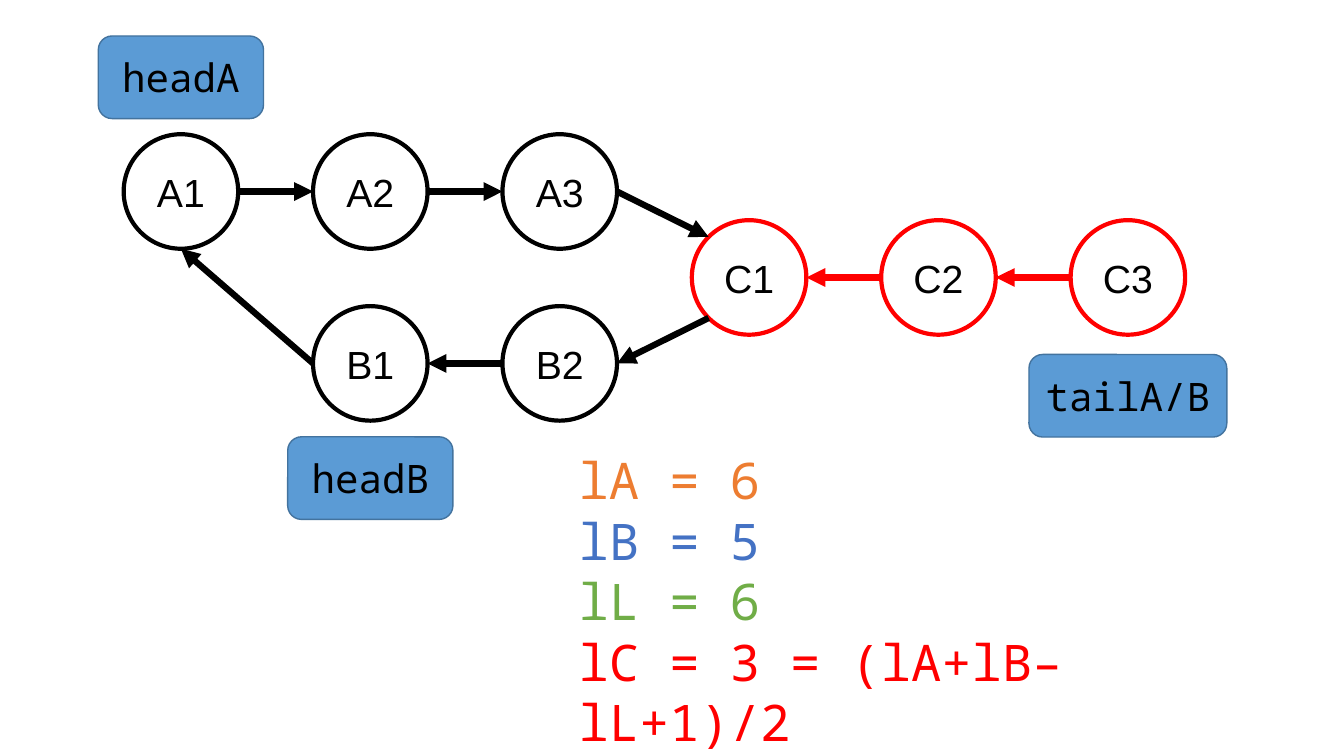
from dataclasses import dataclass
from math import sqrt

from lxml.etree import SubElement
from pptx import Presentation
from pptx.dml.color import RGBColor
from pptx.enum.shapes import MSO_CONNECTOR, MSO_SHAPE
from pptx.enum.text import MSO_ANCHOR, MSO_AUTO_SIZE, PP_ALIGN
from pptx.oxml.ns import qn
from pptx.util import Pt

HUES = {
    "black": "000000", "white": "FFFFFF", "red": "FF0000", "tag": "5B9BD5",
    "edge": "43739E", "orange": "ED7D31", "blue": "4472C4", "green": "70AD47",
}
SANS, MONO = "Arial", "Noto Sans Mono"
SIZE = 81.8                  # node diameter
LEFT, TOP = 129.25, 136.8    # centre of the first node
STEP, DROP = 135.28, 61.4    # column and row pitch
DIAG = sqrt(0.5)
PORTS = {
    "left": (-1, 0), "right": (1, 0), "bottom": (0, 1),
    "upleft": (-DIAG, -DIAG), "lowleft": (-DIAG, DIAG),
}


@dataclass
class Node:
    name: str
    col: int
    row: int
    hue: str = "black"

    def port(self, side: str = "") -> tuple[float, float]:
        dx, dy = PORTS.get(side, (0, 0))
        return (LEFT + STEP * self.col + dx * SIZE / 2,
                TOP + DROP * self.row + dy * SIZE / 2)


@dataclass
class Link:
    start: str
    exit: str
    end: str
    entry: str
    hue: str = "black"


@dataclass
class Tag:
    text: str
    left: float
    top: float
    width: float


NODES = [
    Node("A1", 0, 0), Node("A2", 1, 0), Node("A3", 2, 0),
    Node("B1", 1, 2), Node("B2", 2, 2),
    Node("C1", 3, 1, "red"), Node("C2", 4, 1, "red"), Node("C3", 5, 1, "red"),
]
LINKS = [
    Link("A1", "right", "A2", "left"),
    Link("A2", "right", "A3", "left"),
    Link("A3", "right", "C1", "upleft"),
    Link("C1", "lowleft", "B2", "right"),
    Link("B2", "left", "B1", "right"),
    Link("B1", "left", "A1", "bottom"),
    Link("C3", "left", "C2", "right", "red"),
    Link("C2", "left", "C1", "right", "red"),
]
TAGS = [
    Tag("headA", 70.2, 25.7, 118), Tag("headB", 205.5, 312, 118),
    Tag("tailA/B", 735, 253.2, 141.3),
]
SUMS = {
    "lA = 6": "orange", "lB = 5": "blue", "lL = 6": "green",
    "lC = 3 = (lA+lB–lL+1)/2": "red",
}


def tint(hue: str) -> RGBColor:
    return RGBColor.from_string(HUES[hue])


def style(font, face: str, size: float, hue: str) -> None:
    for key, val in {"name": face, "size": Pt(size)}.items():
        setattr(font, key, val)
    font.color.rgb = tint(hue)


def block(slide, kind, box, text: str, face: str, fill: str, line: str, width: float) -> None:
    shape = slide.shapes.add_shape(kind, *map(Pt, box))
    shape.shadow.inherit = False
    shape.fill.solid()
    shape.fill.fore_color.rgb = tint(fill)
    shape.line.color.rgb = tint(line)
    shape.line.width = Pt(width)
    frame = shape.text_frame
    form = {"vertical_anchor": MSO_ANCHOR.MIDDLE, "word_wrap": False,
            "margin_left": 0, "margin_right": 0}
    for key, val in form.items():
        setattr(frame, key, val)
    para = frame.paragraphs[0]
    para.alignment = PP_ALIGN.CENTER
    run = para.add_run()
    run.text = text
    style(run.font, face, 28, "black")


def arrow(slide, start, end, hue: str) -> None:
    line = slide.shapes.add_connector(MSO_CONNECTOR.STRAIGHT, *map(Pt, start + end))
    line.line.color.rgb = tint(hue)
    line.line.width = Pt(4.5)
    SubElement(line.line._get_or_add_ln(), qn("a:tailEnd"), type="triangle")
    SubElement(line._element.spPr, qn("a:effectLst"))


def main() -> None:
    deck = Presentation()
    deck.slide_width, deck.slide_height = Pt(960), Pt(540)
    slide = deck.slides.add_slide(deck.slide_layouts[6])

    # List nodes
    for node in NODES:
        x, y = node.port()
        box = (x - SIZE / 2, y - SIZE / 2, SIZE, SIZE)
        block(slide, MSO_SHAPE.OVAL, box, node.name, SANS, "white", node.hue, 3)

    # Links between nodes
    nodes = {node.name: node for node in NODES}
    for link in LINKS:
        arrow(slide, nodes[link.start].port(link.exit),
              nodes[link.end].port(link.entry), link.hue)

    # Head and tail tags
    for tag in TAGS:
        box = (tag.left, tag.top, tag.width, 59)
        block(slide, MSO_SHAPE.ROUNDED_RECTANGLE, box, tag.text, MONO, "tag", "edge", 1)

    # Length sums
    area = slide.shapes.add_textbox(*map(Pt, (406.2, 317.5, 473, 181.4)))
    frame = area.text_frame
    for key, val in {"word_wrap": True, "auto_size": MSO_AUTO_SIZE.SHAPE_TO_FIT_TEXT}.items():
        setattr(frame, key, val)
    for spot, (text, hue) in enumerate(SUMS.items()):
        para = frame.add_paragraph() if spot else frame.paragraphs[0]
        run = para.add_run()
        run.text = text
        style(run.font, MONO, 36, hue)

    deck.save("out.pptx")


if __name__ == "__main__":
    main()
